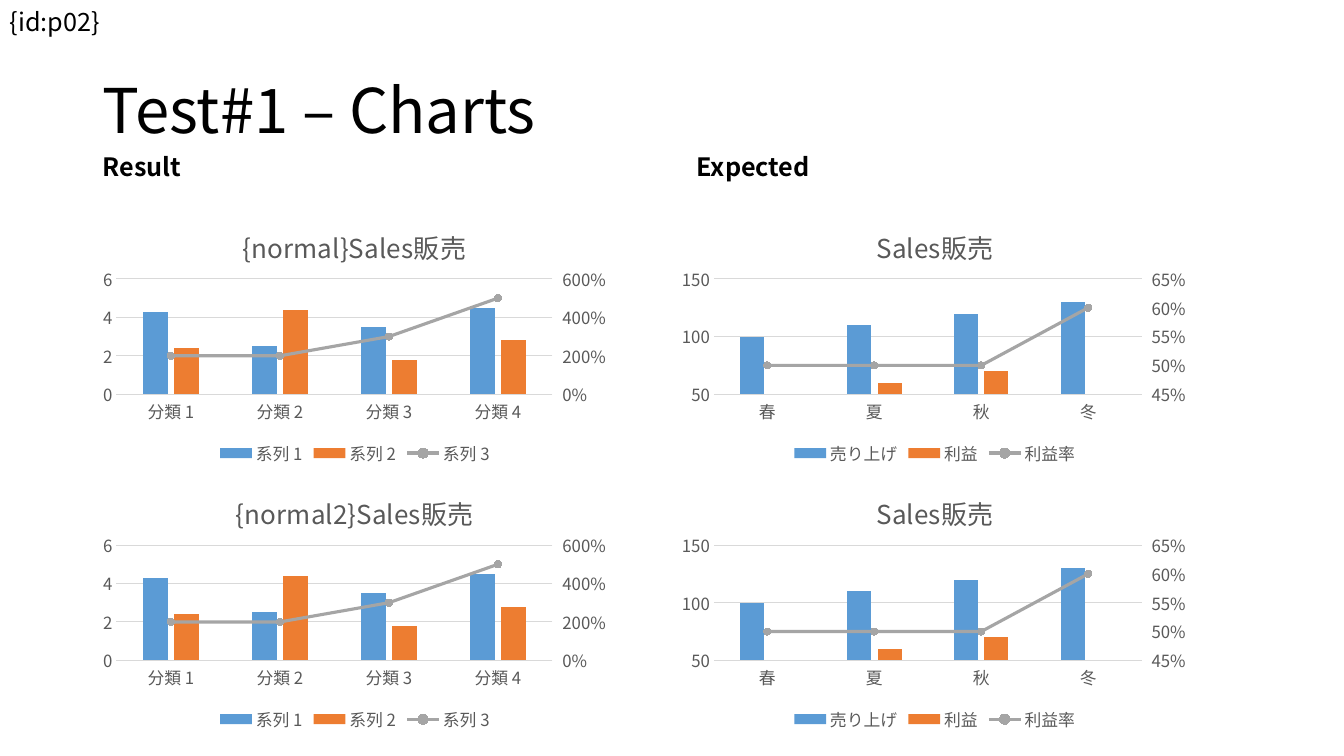
import pptx
import pptx.util
import pptx.dml.color
import pptx.chart.axis
import pptx.chart.data
import pptx.enum.chart
import pptx.enum.text
import pptx.oxml
import pptx.oxml.ns

FONT = "Noto Sans CJK JP"
INK, GRAY, PALE = "000000", "595959", "D9D9D9"
FILLS = ["5B9BD5", "ED7D31", "A5A5A5"]
NS = pptx.oxml.ns.nsdecls("c")
inch, pt, qn = pptx.util.Inches, pptx.util.Pt, pptx.oxml.ns.qn
enum = pptx.enum.chart


def tint(color, tone):
    color.rgb = pptx.dml.color.RGBColor.from_string(tone)


def style(font, size, tone, bold=False):
    font.name, font.size, font.bold = FONT, pt(size), bold
    tint(font.color, tone)


deck = pptx.Presentation()
deck.slide_width, deck.slide_height = inch(13.33), inch(7.5)
slide = deck.slides.add_slide(deck.slide_layouts[5])

# Grid of two columns and two rows
LEFT, TOP, STEP, ROW = 0.92, 2.01, 5.75, 2.64
WIDE, HIGH = 5.2, 2.65

# Title
title = slide.shapes.title
title.left, title.top = inch(LEFT), inch(0.4)
title.width, title.height = inch(11.5), inch(1.45)
frame = title.text_frame
frame.vertical_anchor = pptx.enum.text.MSO_ANCHOR.MIDDLE
para = frame.paragraphs[0]
para.alignment = pptx.enum.text.PP_ALIGN.LEFT
para.line_spacing = 0.9
run = para.add_run()
run.text = "Test#1 – Charts"
style(run.font, 44, INK)

# Slide tag and column heads
for text, x, y, wide, bold in [
    ("{id:p02}", 0, 0.01, 1.11, False),
    ("Result", LEFT, 1.45, 0.99, True),
    ("Expected", 6.81, 1.45, 1.34, True),
]:
    box = slide.shapes.add_textbox(inch(x), inch(y), inch(wide), inch(0.4))
    box.text_frame.word_wrap = False
    box.text_frame.auto_size = pptx.enum.text.MSO_AUTO_SIZE.SHAPE_TO_FIT_TEXT
    run = box.text_frame.paragraphs[0].add_run()
    run.text = text
    style(run.font, 18, INK, bold)

# Data: categories, series, axis range, plot left and width as shares
result = (
    [f"分類 {n}" for n in range(1, 5)],
    {"系列 1": [4.3, 2.5, 3.5, 4.5],
     "系列 2": [2.4, 4.4, 1.8, 2.8],
     "系列 3": [2, 2, 3, 5]},
    None, 0.045, 0.832)
wanted = (
    ["春", "夏", "秋", "冬"],
    {"売り上げ": [100, 110, 120, 130],
     "利益": [50, 60, 70, None],
     "利益率": [0.5, 0.5, 0.5, 0.6]},
    (50, 150), 0.079, 0.816)

# Wrapper for the line plot and its axes on the right
LINE = f"""<c:lineChart {NS}><c:grouping val="standard"/><c:varyColors val="0"/>
<c:marker val="1"/><c:axId val="501"/><c:axId val="502"/></c:lineChart>"""
RIGHT = f"""<c:valAx {NS}><c:axId val="502"/>
<c:scaling><c:orientation val="minMax"/></c:scaling><c:delete val="0"/>
<c:axPos val="r"/><c:numFmt formatCode="0%" sourceLinked="0"/>
<c:majorTickMark val="out"/><c:minorTickMark val="none"/>
<c:tickLblPos val="nextTo"/><c:crossAx val="501"/><c:crosses val="max"/>
<c:crossBetween val="between"/></c:valAx>"""
HIDDEN = f"""<c:catAx {NS}><c:axId val="501"/>
<c:scaling><c:orientation val="minMax"/></c:scaling><c:delete val="1"/>
<c:axPos val="b"/><c:majorTickMark val="none"/><c:minorTickMark val="none"/>
<c:tickLblPos val="nextTo"/><c:crossAx val="502"/><c:crosses val="autoZero"/>
</c:catAx>"""

# Charts
for col, row, head, shift, group in [
    (0, 0, "{normal}Sales販売", 0.277, result),
    (1, 0, "Sales販売", 0.38, wanted),
    (0, 1, "{normal2}Sales販売", 0.264, result),
    (1, 1, "Sales販売", 0.38, wanted),
]:
    cats, rows, span, px, pw = group
    data = pptx.chart.data.CategoryChartData()
    data.categories = cats
    for name, vals in rows.items():
        data.add_series(name, vals)
    chart = slide.shapes.add_chart(
        enum.XL_CHART_TYPE.COLUMN_CLUSTERED,
        inch(LEFT + col * STEP), inch(TOP + row * ROW),
        inch(WIDE), inch(HIGH), data).chart
    style(chart.font, 10, INK)

    # Title and legend
    run = chart.chart_title.text_frame.paragraphs[0].add_run()
    run.text = head
    style(run.font, 18.6, GRAY)
    chart.has_legend = True
    chart.legend.position = enum.XL_LEGEND_POSITION.BOTTOM
    chart.legend.include_in_layout = False
    style(chart.legend.font, 12, GRAY)

    # Left and bottom axes
    base, side = chart.category_axis, chart.value_axis
    for axis in (base, side):
        axis.major_tick_mark = enum.XL_TICK_MARK.NONE
        style(axis.tick_labels.font, 12, GRAY)
    tint(base.format.line.color, PALE)
    base.format.line.width = pt(0.75)
    side.format.line.fill.background()
    grid = side.major_gridlines.format.line
    tint(grid.color, PALE)
    grid.width = pt(0.75)
    if span:
        side.minimum_scale, side.maximum_scale = span

    # Move the third series to a line plot on the right axis
    bars = chart.plots[0]
    bars.gap_width, bars.overlap, bars.vary_by_categories = 219, -27, False
    area = next(chart.element.iter(qn("c:plotArea")))
    bar = area.find(qn("c:barChart"))
    last = bar.findall(qn("c:ser"))[-1]
    for flag in last.findall(qn("c:invertIfNegative")):
        last.remove(flag)
    line = pptx.oxml.parse_xml(LINE)
    line.insert(2, last)
    bar.addnext(line)
    right = pptx.oxml.parse_xml(RIGHT)
    area.findall(qn("c:valAx"))[-1].addnext(right)
    right.addnext(pptx.oxml.parse_xml(HIDDEN))
    axis = pptx.chart.axis.ValueAxis(right)
    axis.format.line.fill.background()
    style(axis.tick_labels.font, 12, GRAY)

    # Series colours
    for ser, tone in zip(bars.series, FILLS):
        ser.format.fill.solid()
        tint(ser.format.fill.fore_color, tone)
    rate = chart.plots[1].series[0]
    rate.smooth = False
    tint(rate.format.line.color, FILLS[2])
    rate.format.line.width = pt(2.25)
    rate.marker.style, rate.marker.size = enum.XL_MARKER_STYLE.CIRCLE, 5
    rate.marker.format.fill.solid()
    tint(rate.marker.format.fill.fore_color, FILLS[2])
    tint(rate.marker.format.line.color, FILLS[2])

    # Places of title and plot as shares of the chart
    for node, spot in [
        (area, {"x": px, "y": 0.286, "w": pw, "h": 0.432}),
        (area.getparent().find(qn("c:title")), {"x": shift, "y": 0.065}),
    ]:
        for old in node.findall(qn("c:layout")):
            node.remove(old)
        inner = '<c:layoutTarget val="inner"/>' if "w" in spot else ""
        modes = "".join(f'<c:{k}Mode val="edge"/>' for k in "xy")
        sizes = "".join(f'<c:{k} val="{v}"/>' for k, v in spot.items())
        new = pptx.oxml.parse_xml(
            f"<c:layout {NS}><c:manualLayout>{inner}{modes}{sizes}"
            "</c:manualLayout></c:layout>")
        node.insert(0 if node is area else 1, new)

deck.save("out.pptx")
